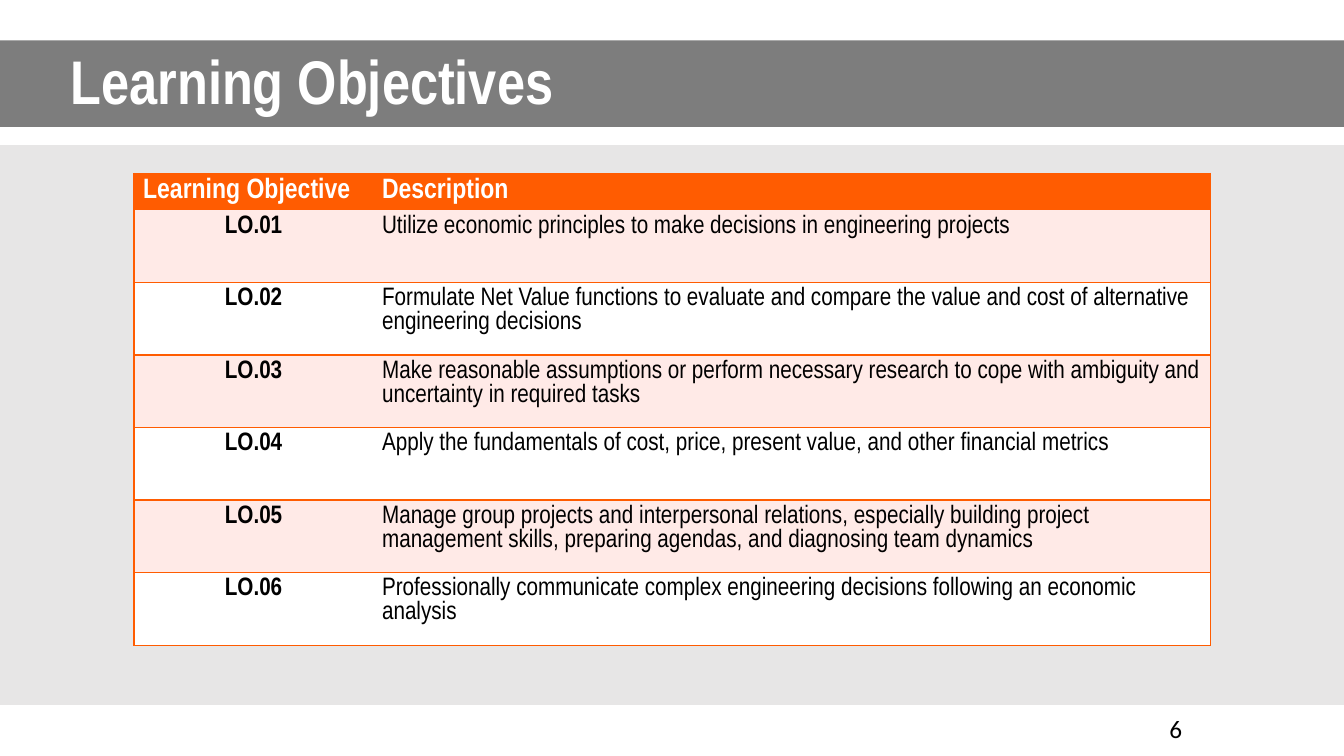
import pptx
import pptx.dml.color
import pptx.enum.shapes
import pptx.enum.text
import pptx.oxml
import pptx.oxml.ns
import pptx.util
from pptx.util import Inches

COLORS = {
    "white": "FFFFFF",
    "black": "000000",
    "band": "595959",
    "panel": "E7E6E6",
    "accent": "FF5C01",
    "tint": "FFEAE7",
}
ALIGN = pptx.enum.text.PP_ALIGN
ANCHOR = pptx.enum.text.MSO_ANCHOR

OBJECTIVES = [
    "Utilize economic principles to make decisions in engineering projects",
    "Formulate Net Value functions to evaluate and compare the value and cost of "
    "alternative engineering decisions",
    "Make reasonable assumptions or perform necessary research to cope with "
    "ambiguity and uncertainty in required tasks",
    "Apply the fundamentals of cost, price, present value, and other financial metrics",
    "Manage group projects and interpersonal relations, especially building project "
    "management skills, preparing agendas, and diagnosing team dynamics",
    "Professionally communicate complex engineering decisions following an economic "
    "analysis",
]


def rgb(name):
    return pptx.dml.color.RGBColor.from_string(COLORS[name])


def put_text(tf, text, size=18, font="Arial Narrow", color="black", bold=False,
             align=ALIGN.LEFT, spacing=None):
    tf.word_wrap = True
    p = tf.paragraphs[0]
    p.alignment = align
    if spacing:
        p.line_spacing = spacing
    r = p.add_run()
    r.text = text
    r.font.size = pptx.util.Pt(size)
    r.font.name = font
    r.font.bold = bold
    r.font.color.rgb = rgb(color)


class Deck:
    """Holds the presentation style and the current slide."""

    def __init__(self):
        self.prs = pptx.Presentation()
        self.prs.slide_width = Inches(13.33)
        self.prs.slide_height = Inches(7.5)
        self.s = self.prs.slides.add_slide(self.prs.slide_layouts[5])

    def box(self, x, y, w, h, fill, line=None, alpha=None):
        rect = pptx.enum.shapes.MSO_SHAPE.RECTANGLE
        sp = self.s.shapes.add_shape(rect, Inches(x), Inches(y), Inches(w), Inches(h))
        sp.shadow.inherit = False
        sp.fill.solid()
        sp.fill.fore_color.rgb = rgb(fill)
        if alpha:
            clr = sp.fill._xPr.find(".//" + pptx.oxml.ns.qn("a:srgbClr"))
            clr.append(pptx.oxml.parse_xml(
                f'<a:alpha {pptx.oxml.ns.nsdecls("a")} val="{alpha * 1000}"/>'))
        if line:
            sp.line.color.rgb = rgb(line)
            sp.line.width = pptx.util.Pt(1)
        else:
            sp.line.fill.background()

    def title(self, text, x, y, w, h):
        sp = self.s.shapes.title
        sp.left, sp.top, sp.width, sp.height = map(Inches, (x, y, w, h))
        tf = sp.text_frame
        tf.auto_size = pptx.enum.text.MSO_AUTO_SIZE.NONE
        tf.vertical_anchor = ANCHOR.MIDDLE
        put_text(tf, text, size=44, color="white", bold=True, spacing=0.9)
        tree = self.s.shapes._spTree
        tree.remove(sp._element)
        tree.append(sp._element)

    def text(self, text, x, y, w, h, **fmt):
        sp = self.s.shapes.add_textbox(Inches(x), Inches(y), Inches(w), Inches(h))
        put_text(sp.text_frame, text, **fmt)

    def borders(self, cell, sides):
        tc_pr = cell._tc.get_or_add_tcPr()
        for side in "LRTB":
            fill = "<a:noFill/>"
            if side in sides:
                fill = (f'<a:solidFill><a:srgbClr val="{COLORS["accent"]}"/>'
                        '</a:solidFill>')
            tc_pr.append(pptx.oxml.parse_xml(
                f'<a:ln{side} {pptx.oxml.ns.nsdecls("a")} w="12700">{fill}</a:ln{side}>'))

    def cell(self, cell, text, fill, sides, **fmt):
        cell.margin_left = cell.margin_right = Inches(0.09)
        cell.margin_top = cell.margin_bottom = Inches(0.05)
        cell.vertical_anchor = ANCHOR.TOP
        self.borders(cell, sides)
        cell.fill.solid()
        cell.fill.fore_color.rgb = rgb(fill)
        put_text(cell.text_frame, text, **fmt)

    def table(self, header, rows, x, y, widths, head_h, row_h):
        heights = [head_h] + [row_h] * len(rows)
        t = self.s.shapes.add_table(
            len(heights), len(widths), Inches(x), Inches(y),
            Inches(sum(widths)), Inches(sum(heights))).table
        t.horz_banding = False
        for col, w in zip(t.columns, widths):
            col.width = Inches(w)
        for row, h in zip(t.rows, heights):
            row.height = Inches(h)
        sides = ("LTB", "RTB")
        for j, text in enumerate(header):
            self.cell(t.cell(0, j), text, "accent", sides[j],
                      size=20, color="white", bold=True)
        for i, (code, description) in enumerate(rows, 1):
            fill = "tint" if i % 2 else "white"
            self.cell(t.cell(i, 0), code, fill, sides[0], bold=True, align=ALIGN.CENTER)
            self.cell(t.cell(i, 1), description, fill, sides[1])


def main():
    deck = Deck()
    deck.text("6", 11.5, 7.03, 0.6, 0.34, font="Calibri")
    deck.box(0, 0.4, 13.33, 0.86, "band", alpha=78)
    deck.box(0, 1.45, 13.33, 5.54, "panel", line="panel")
    deck.title("Learning Objectives", 0.6, 0.4, 11.5, 0.88)
    rows = [(f"LO.{n:02}", text) for n, text in enumerate(OBJECTIVES, 1)]
    deck.table(("Learning Objective", "Description"), rows,
               1.33, 1.72, (2.37, 8.31), 0.3, 0.72)
    deck.prs.save("out.pptx")


if __name__ == "__main__":
    main()
